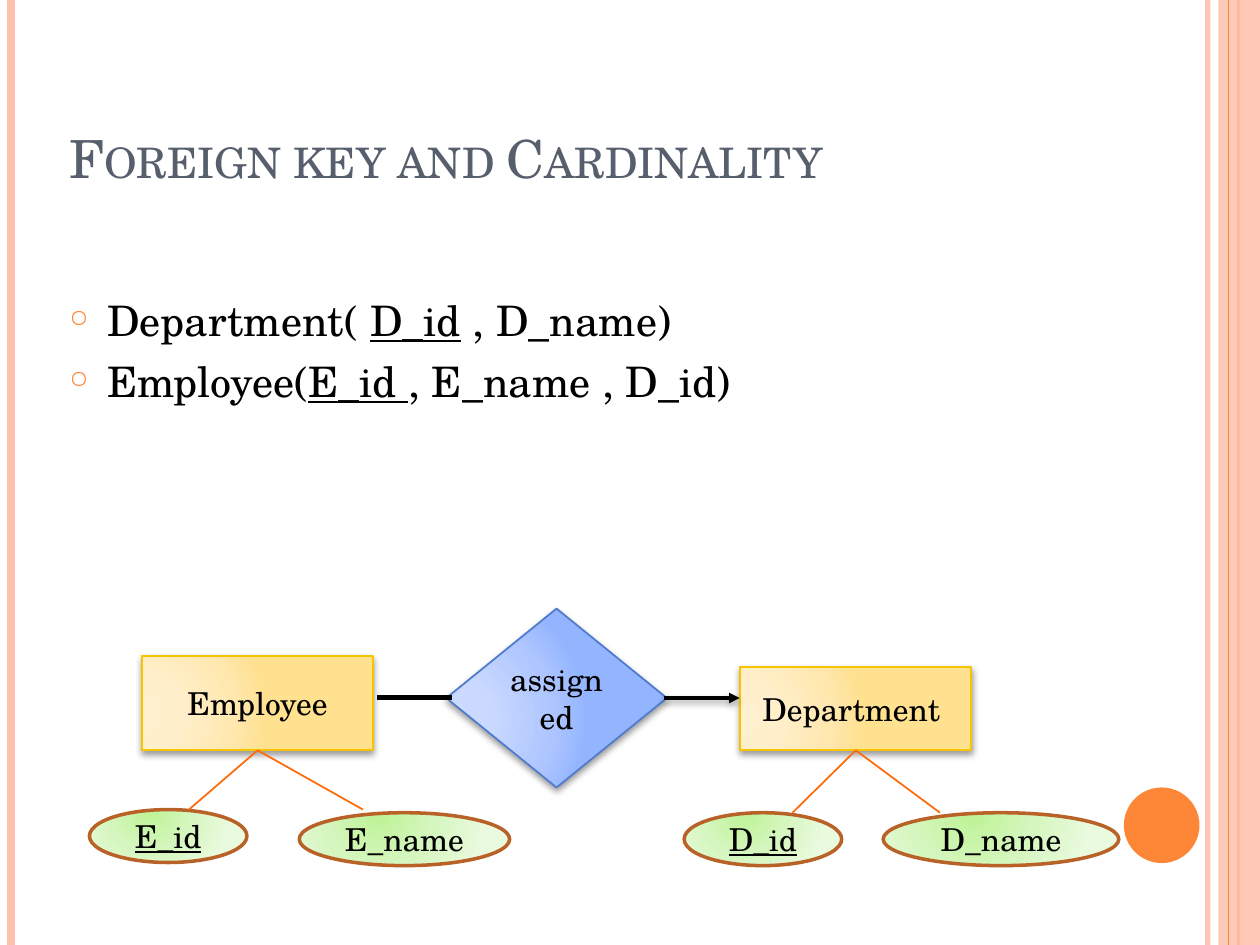
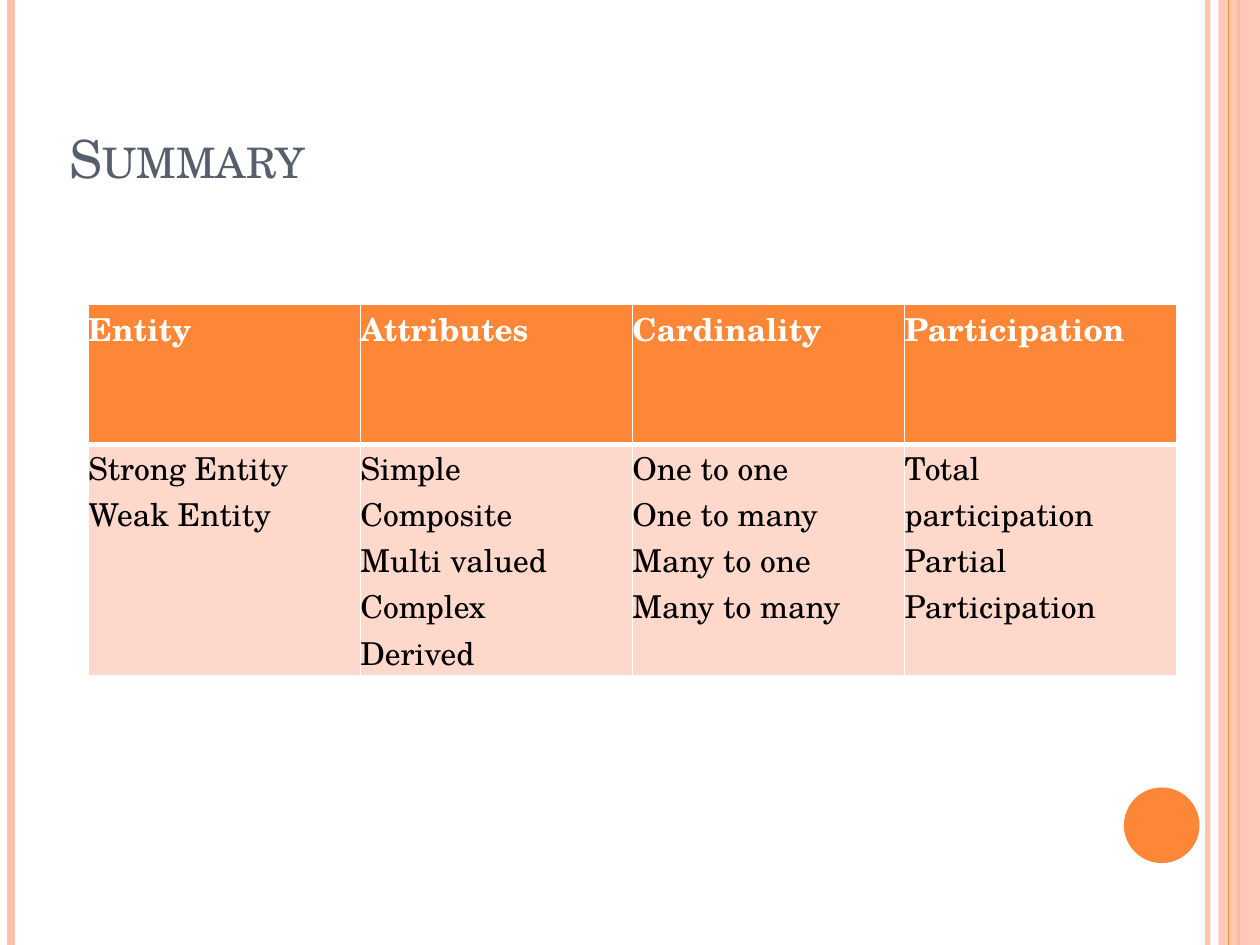
import pptx
import pptx.dml.color
import pptx.enum.shapes
import pptx.enum.text
import pptx.oxml
import pptx.oxml.ns
import pptx.util

FONT = "TeX Gyre Schola"
COLORS = {
    "orange": "FE8637", "peach": "FEC2AC", "pale": "FFD8CC", "slate": "575F6D",
    "black": "000000", "white": "FFFFFF", "branch": "FF6A08",
}
RGB = pptx.dml.color.RGBColor.from_string
Pt = pptx.util.Pt
SHAPES = pptx.enum.shapes.MSO_SHAPE
ALIGN = pptx.enum.text.PP_ALIGN
ANCHOR = pptx.enum.text.MSO_ANCHOR
NAMESPACE = pptx.oxml.ns.nsdecls("a")
SHADOW = (f'<a:outerShdw {NAMESPACE} blurRad="50800" dist="25400" dir="5400000" rotWithShape="0">'
          '<a:srgbClr val="000000"><a:alpha val="40000"/></a:srgbClr></a:outerShdw>')

presentation = pptx.Presentation()
presentation.slide_width = pptx.util.Inches(10)
presentation.slide_height = pptx.util.Inches(7.5)
COLUMNS, ROWS = 100, 75  # square grid cells
UNIT = presentation.slide_width / COLUMNS


def grid(*cells):
    return [round(cell * UNIT) for cell in cells]


def add_line(slide, start, end, color, width):
    line = slide.shapes.add_connector(
        pptx.enum.shapes.MSO_CONNECTOR.STRAIGHT, *grid(*start, *end))
    line.line.color.rgb = RGB(COLORS[color])
    line.line.width = Pt(width)
    line._element.spPr.append(pptx.oxml.parse_xml(f"<a:effectLst {NAMESPACE}/>"))
    return line


# Shared parts: side bands, corner circle and title
slides = []
for title_text in ("Foreign key and Cardinality", "Summary"):
    slide = presentation.slides.add_slide(presentation.slide_layouts[5])
    slides.append(slide)
    inner_line = None
    for x, color, width in ((95.85, "peach", 3), (0.85, "peach", 4.5), (98.3, "orange", 1.5)):
        line = add_line(slide, (x, 0), (x, ROWS), color, width)
        inner_line = inner_line or line
    band = slide.shapes.add_shape(SHAPES.RECTANGLE, *grid(96.7, 0, 3.3, ROWS))
    add_line(slide, (97.5, 0), (97.5, ROWS), "orange", 0.75)
    circle = slide.shapes.add_shape(SHAPES.OVAL, *grid(89.2, 62.5, 6, 6))
    for shape, color in ((band, "peach"), (circle, "orange")):
        shape.fill.solid()
        shape.fill.fore_color.rgb = RGB(COLORS[color])
        shape.line.fill.background()
        shape.shadow.inherit = False
    for shape, opacity in ((inner_line, 93), (band, 87)):
        color_element = next(shape._element.spPr.iter(pptx.oxml.ns.qn("a:srgbClr")))
        color_element.append(pptx.oxml.parse_xml(
            f'<a:alpha {NAMESPACE} val="{opacity * 1000}"/>'))

    title = slide.shapes.title
    title.left, title.top, title.width, title.height = grid(5, 3, 81.7, 12.5)
    frame = title.text_frame
    frame.text = title_text
    frame.vertical_anchor = ANCHOR.BOTTOM
    frame.margin_left = frame.margin_right = frame.margin_top = frame.margin_bottom = grid(0.5)[0]
    paragraph = frame.paragraphs[0]
    paragraph.alignment = ALIGN.LEFT
    font = paragraph.runs[0].font
    font.name, font.size = FONT, Pt(30)
    font.color.rgb = RGB(COLORS["slate"])
    paragraph.runs[0]._r.get_or_add_rPr().set("cap", "small")

diagram_slide, summary_slide = slides

# Relation schemas, with the keys underlined
schemas = (
    (("Department( ", False), ("D_id", True), (" , D_name)", False)),
    (("Employee(", False), ("E_id ", True), (", E_name , D_id)", False)),
)
frame = diagram_slide.shapes.add_textbox(*grid(5, 22.9, 81.7, 12)).text_frame
frame.word_wrap = True
frame.margin_left = frame.margin_right = frame.margin_top = frame.margin_bottom = grid(0.5)[0]
for index, schema in enumerate(schemas):
    paragraph = frame.add_paragraph() if index else frame.paragraphs[0]
    paragraph.space_before = Pt(6 if index else 0)
    properties = paragraph._p.get_or_add_pPr()
    properties.set("marL", str(grid(3)[0]))
    properties.set("indent", str(grid(-3)[0]))
    for bullet in (f'<a:buClr {NAMESPACE}><a:srgbClr val="{COLORS["orange"]}"/></a:buClr>',
                   f'<a:buSzPct {NAMESPACE} val="58000"/>',
                   f'<a:buChar {NAMESPACE} char="○"/>'):
        properties.append(pptx.oxml.parse_xml(bullet))
    for text, is_key in schema:
        run = paragraph.add_run()
        run.text = text
        run.font.name, run.font.size, run.font.underline = FONT, Pt(24), is_key
        run.font.color.rgb = RGB(COLORS["black"])

# Node kinds: preset, outline, width, shadow, gradient stops, gradient focus
GLOW = (-20, 62, 120, 38)
kinds = {
    "entity": (SHAPES.RECTANGLE, "F7C500", 1, True,
               ((0, "FFF0CF"), (30, "FFEFCB"), (75, "FFE7AE"), (100, "FFE190")), GLOW),
    "relation": (SHAPES.DIAMOND, "4E7BCE", 1, True,
                 ((0, "CEDCFF"), (30, "CAD9FF"), (75, "AEC6FF"), (100, "93B4FF")), GLOW),
    "attribute": (SHAPES.OVAL, "B96228", 2, False,
                  ((0, "BDF395"), (50, "D5F6BE"), (100, "EAFADF")), (38, -20, 62, 120)),
}
nodes = (
    ("Employee", "entity", False, (11.28, 52.05, 18.33, 7.5)),
    ("Department ", "entity", False, (58.75, 52.92, 18.33, 6.63)),
    ("E_name", "attribute", False, (23.75, 64.5, 16.7, 4.2)),
    ("D_id", "attribute", True, (54.3, 64.5, 12.5, 4.2)),
    ("D_name", "attribute", False, (70.1, 64.5, 18.7, 4.2)),
    ("E_id", "attribute", True, (7.1, 64.25, 12.5, 4.2)),
    ("assigned", "relation", False, (35.42, 48.3, 17.5, 14.2)),
)
for label, kind, is_key, place in nodes:
    preset, outline, width, has_shadow, stops, focus = kinds[kind]
    shape = diagram_slide.shapes.add_shape(preset, *grid(*place))
    shape.fill.solid()
    shape.line.color.rgb = RGB(outline)
    shape.line.width = Pt(width)
    shape.shadow.inherit = False
    properties = shape._element.spPr
    stop_list = "".join(f'<a:gs pos="{position * 1000}"><a:srgbClr val="{color}"/></a:gs>'
                        for position, color in stops)
    edges = " ".join(f'{side}="{share * 1000}"' for side, share in zip("ltrb", focus))
    gradient = pptx.oxml.parse_xml(
        f'<a:gradFill {NAMESPACE} rotWithShape="1"><a:gsLst>{stop_list}</a:gsLst>'
        f'<a:path path="circle"><a:fillToRect {edges}/></a:path></a:gradFill>')
    properties.replace(properties.find(pptx.oxml.ns.qn("a:solidFill")), gradient)
    if has_shadow:
        properties.find(pptx.oxml.ns.qn("a:effectLst")).append(pptx.oxml.parse_xml(SHADOW))

    frame = shape.text_frame
    frame.text = label
    frame.word_wrap = True
    frame.vertical_anchor = ANCHOR.MIDDLE
    frame.margin_left = frame.margin_right = grid(0.5)[0]
    frame.margin_top = frame.margin_bottom = 0
    paragraph = frame.paragraphs[0]
    paragraph.alignment = ALIGN.CENTER
    font = paragraph.runs[0].font
    font.name, font.size, font.underline = FONT, Pt(18), is_key
    font.color.rgb = RGB(COLORS["black"])

# Branches from each entity to its attributes
for start, ends in (((67.92, 59.55), ((62.9, 64.5), (74.6, 64.5))),
                    ((20.45, 59.55), ((15, 64.25), (28.8, 64.25)))):
    for end in ends:
        add_line(diagram_slide, start, end, "branch", 1)

# Relation lines: many side plain, one side with an arrow
add_line(diagram_slide, (29.9, 55.35), (35.9, 55.35), "black", 3)
arrow = add_line(diagram_slide, (52.7, 55.4), (58.7, 55.4), "black", 2)
properties = arrow._element.spPr
properties.find(pptx.oxml.ns.qn("a:ln")).append(
    pptx.oxml.parse_xml(f'<a:tailEnd {NAMESPACE} type="triangle"/>'))
properties.find(pptx.oxml.ns.qn("a:effectLst")).append(pptx.oxml.parse_xml(SHADOW))

# Summary table
summary = {
    "Entity": "Strong Entity\nWeak Entity",
    "Attributes": "Simple\nComposite\nMulti valued\nComplex\nDerived",
    "Cardinality": "One to one\nOne to many\nMany to one\nMany to many",
    "Participation": "Total participation\nPartial\nParticipation",
}
table = summary_slide.shapes.add_table(2, len(summary), *grid(7, 24.17, 86.4, 29.3)).table
for row, height in zip(table.rows, grid(11.1, 18.2)):
    row.height = height
for column in table.columns:
    column.width = grid(21.6)[0]

# Row styles: fill, text colour, bold, border widths
row_styles = (
    ("orange", "white", True, {"lnL": 1, "lnR": 1, "lnT": 1, "lnB": 3}),
    ("pale", "black", False, {"lnL": 1, "lnR": 1, "lnT": 3, "lnB": 1}),
)
for column_index, texts in enumerate(summary.items()):
    for row_index, (fill, color, bold, borders) in enumerate(row_styles):
        cell = table.cell(row_index, column_index)
        cell.text = texts[row_index]
        cell.margin_left = cell.margin_right = cell.margin_top = cell.margin_bottom = 0
        cell.fill.solid()
        cell.fill.fore_color.rgb = RGB(COLORS[fill])
        properties = cell._tc.get_or_add_tcPr()
        for position, (side, width) in enumerate(borders.items()):
            properties.insert(position, pptx.oxml.parse_xml(
                f'<a:{side} {NAMESPACE} w="{Pt(width)}"><a:solidFill>'
                f'<a:srgbClr val="{COLORS["white"]}"/></a:solidFill></a:{side}>'))
        for paragraph in cell.text_frame.paragraphs:
            font = paragraph.runs[0].font
            font.name, font.size, font.bold = FONT, Pt(18), bold
            font.color.rgb = RGB(COLORS[color])

presentation.save("out.pptx")
